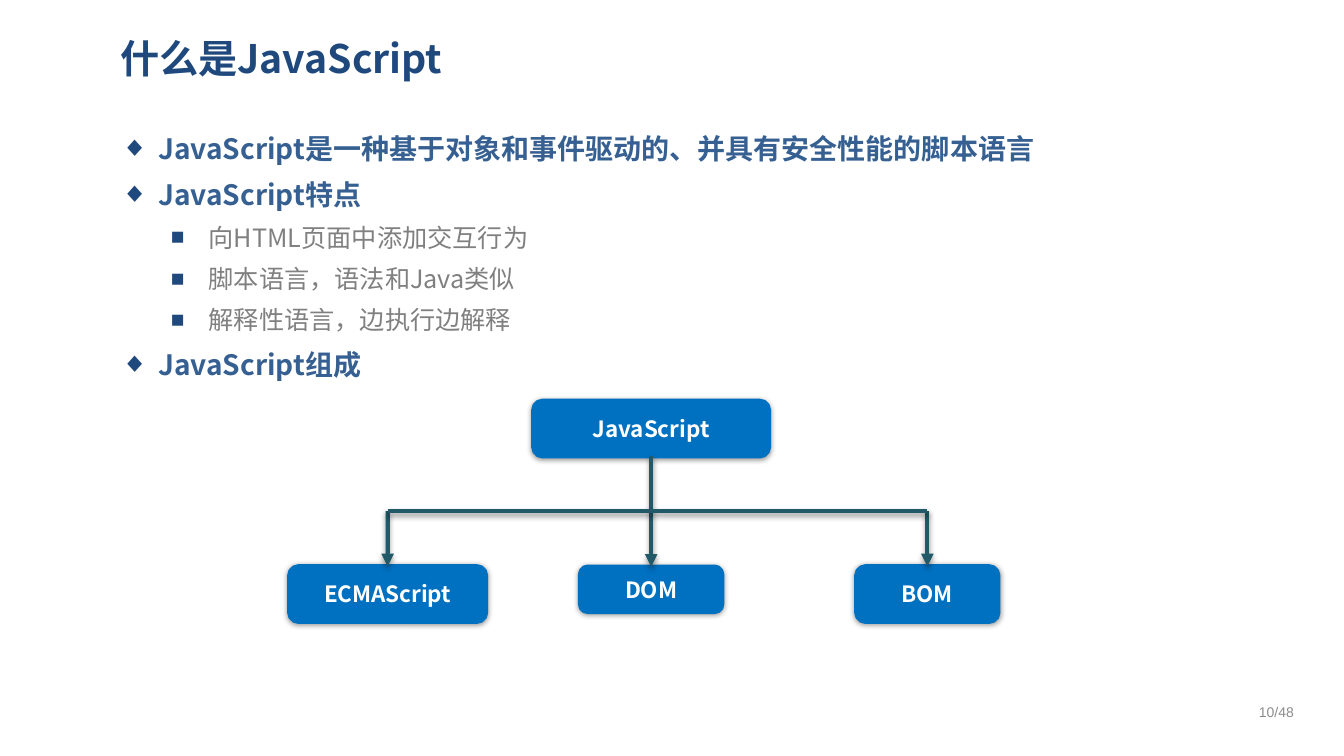
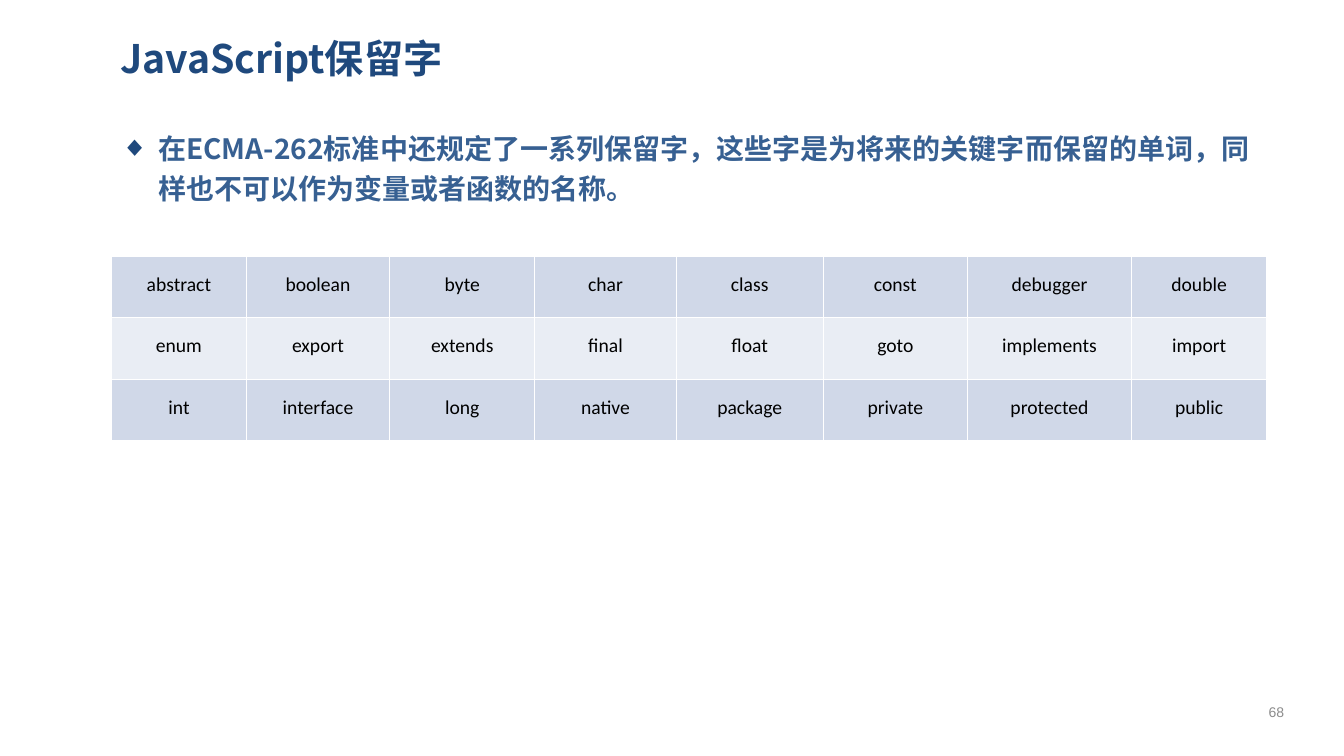
from dataclasses import dataclass

import pptx
import pptx.dml.color
import pptx.enum.shapes
import pptx.enum.text
import pptx.oxml
import pptx.oxml.ns
import pptx.util
from pptx.util import Cm

RGB = pptx.dml.color.RGBColor
NAVY = RGB(0x1F, 0x49, 0x7D)
STEEL = RGB(0x37, 0x60, 0x92)
GRAY = RGB(0x80, 0x80, 0x80)
PALE = RGB(0x8C, 0x8C, 0x8C)
BLUE = RGB(0x00, 0x70, 0xC0)
TEAL = RGB(0x21, 0x59, 0x68)
WHITE = RGB(0xFF, 0xFF, 0xFF)
BLACK = RGB(0x00, 0x00, 0x00)
BANDS = (RGB(0xD0, 0xD8, 0xE8), RGB(0xE9, 0xED, 0xF4))

ALIGN = pptx.enum.text.PP_ALIGN
ANCHOR = pptx.enum.text.MSO_ANCHOR
SHAPE = pptx.enum.shapes.MSO_SHAPE
LINK = pptx.enum.shapes.MSO_CONNECTOR


@dataclass(frozen=True)
class Style:
    size: int
    color: RGB
    bold: bool = False
    face: str = "Noto Sans CJK SC"


@dataclass(frozen=True)
class Level:
    style: Style
    mark: str
    scale: int
    left: float


@dataclass(frozen=True)
class Item:
    text: str
    level: Level


@dataclass(frozen=True)
class Node:
    """A diagram box, placed by its middle and top in centimetres."""
    text: str
    mid: float
    top: float
    wide: float
    high: float = 1.4


TITLE = Style(28, NAVY, True)
PAGE = Style(10, PALE, face="Arial")
LABEL = Style(16, WHITE, True)
WORD = Style(14, BLACK, face="Calibri")
POINT = Level(Style(20, STEEL, True), "◆", 100, 0.95)
SUB = Level(Style(18, GRAY), "■", 90, 2.22)
HANG = 0.95

ITEMS = (
    Item("JavaScript是一种基于对象和事件驱动的、并具有安全性能的脚本语言", POINT),
    Item("JavaScript特点", POINT),
    Item("向HTML页面中添加交互行为", SUB),
    Item("脚本语言，语法和Java类似", SUB),
    Item("解释性语言，边执行边解释", SUB),
    Item("JavaScript组成", POINT),
)
ROOT = Node("JavaScript", 16.41, 10.1, 5.94)
LEAVES = (
    Node("ECMAScript", 9.77, 14.27, 4.96),
    Node("DOM", 16.41, 14.28, 3.58, 1.14),
    Node("BOM", 23.37, 14.27, 3.58),
)
BAR = 12.88

RULE = (
    Item("在ECMA-262标准中还规定了一系列保留字，这些字是为将来的关键字而保留的单词，"
         "同样也不可以作为变量或者函数的名称。", POINT),
)
WORDS = (
    ("abstract", "boolean", "byte", "char", "class", "const", "debugger", "double"),
    ("enum", "export", "extends", "final", "float", "goto", "implements", "import"),
    ("int", "interface", "long", "native", "package", "private", "protected", "public"),
)
COLS = (3.4, 3.61, 3.66, 3.56, 3.71, 3.63, 4.14, 3.4)
ROW = 1.55


def add_xml(parent, text: str):
    """Append an element written with the a: prefix."""
    tag, rest = text.split(" ", 1)
    space = pptx.oxml.ns.nsdecls("a")
    parent.append(pptx.oxml.parse_xml(f"<a:{tag} {space} {rest}"))


def add_run(para, text: str, style: Style):
    run = para.add_run()
    run.text = text
    font = run.font
    font.size = pptx.util.Pt(style.size)
    font.bold = style.bold
    font.color.rgb = style.color
    font.name = style.face
    add_xml(font._element, f'ea typeface="{style.face}"/>')


def add_box(slide, left: float, top: float, wide: float, high: float,
            anchor=ANCHOR.MIDDLE):
    box = slide.shapes.add_textbox(Cm(left), Cm(top), Cm(wide), Cm(high))
    frame = box.text_frame
    frame.word_wrap = True
    frame.vertical_anchor = anchor
    frame.margin_left = frame.margin_right = Cm(0.24)
    frame.margin_top = frame.margin_bottom = Cm(0.12)
    return frame


def add_list(slide, items: tuple[Item, ...]):
    frame = add_box(slide, 2.8, 3.02, 29.59, 14.43, ANCHOR.TOP)
    for index, item in enumerate(items):
        para = frame.add_paragraph() if index else frame.paragraphs[0]
        level = item.level
        props = para._p.get_or_add_pPr()
        props.set("marL", str(Cm(level.left)))
        props.set("indent", str(-Cm(HANG)))
        para.line_spacing = 1.2
        if index:
            para.space_before = pptx.util.Pt(level.style.size * 0.2)
        add_xml(props, f'buClr ><a:srgbClr val="{NAVY}"/></a:buClr>')
        add_xml(props, f'buSzPct val="{level.scale * 1000}"/>')
        add_xml(props, 'buFont typeface="Arial"/>')
        add_xml(props, f'buChar char="{level.mark}"/>')
        add_run(para, item.text, level.style)


def add_slide(deck, title: str, page: str, items: tuple[Item, ...]):
    slide = deck.slides.add_slide(deck.slide_layouts[6])
    add_list(slide, items)
    head = add_box(slide, 2.79, 0.61, 29.59, 1.7)
    add_run(head.paragraphs[0], title, TITLE)
    foot = add_box(slide, 31.34, 17.42, 1.65, 1.02).paragraphs[0]
    foot.alignment = ALIGN.CENTER
    add_run(foot, page, PAGE)
    return slide


def add_shade(shape, drop: int):
    """Cast a soft shadow, drop points straight down."""
    blur, dist = pptx.util.Pt(4), pptx.util.Pt(drop)
    add_xml(shape._element.spPr,
            f'effectLst ><a:outerShdw blurRad="{blur}" dist="{dist}" '
            'dir="5400000" rotWithShape="0"><a:srgbClr val="000000">'
            '<a:alpha val="40000"/></a:srgbClr></a:outerShdw></a:effectLst>')


def add_node(slide, node: Node):
    box = slide.shapes.add_shape(
        SHAPE.FLOWCHART_ALTERNATE_PROCESS, Cm(node.mid - node.wide / 2),
        Cm(node.top), Cm(node.wide), Cm(node.high))
    box.fill.solid()
    box.fill.fore_color.rgb = BLUE
    box.line.color.rgb = BLUE
    box.line.width = pptx.util.Pt(3)
    add_shade(box, 1)
    box.text_frame.vertical_anchor = ANCHOR.MIDDLE
    para = box.text_frame.paragraphs[0]
    para.alignment = ALIGN.CENTER
    add_run(para, node.text, LABEL)
    return box


def add_line(slide, start: float, end: float, goal=None, source=None):
    """Draw along the bar, or down from it to goal, from source if given."""
    line = slide.shapes.add_connector(
        LINK.STRAIGHT, Cm(start), Cm(BAR), Cm(end), Cm(BAR))
    if source:
        line.begin_connect(source, 2)
    if goal:
        line.end_connect(goal, 0)
    line.line.color.rgb = TEAL
    line.line.width = pptx.util.Pt(3)
    if goal:
        add_xml(line.line._get_or_add_ln(), 'tailEnd type="triangle"/>')
    add_shade(line, 2)


def add_tree(slide):
    root = add_node(slide, ROOT)
    for leaf in LEAVES:
        box = add_node(slide, leaf)
        source = root if leaf.mid == ROOT.mid else None
        add_line(slide, leaf.mid, leaf.mid, box, source)
    add_line(slide, LEAVES[0].mid, LEAVES[-1].mid)


def fill_cell(cell, text: str, color: RGB):
    props = cell._tc.get_or_add_tcPr()
    for side in "LRTB":
        add_xml(props, f'ln{side} w="12700"><a:solidFill><a:srgbClr '
                       f'val="{WHITE}"/></a:solidFill></a:ln{side}>')
    cell.fill.solid()
    cell.fill.fore_color.rgb = color
    cell.vertical_anchor = ANCHOR.MIDDLE
    cell.margin_left = cell.margin_right = Cm(0.18)
    cell.margin_top = cell.margin_bottom = 0
    para = cell.text_frame.paragraphs[0]
    para.alignment = ALIGN.CENTER
    para.line_spacing = pptx.util.Pt(13)
    add_run(para, text, WORD)


def add_words(slide):
    table = slide.shapes.add_table(
        len(WORDS), len(COLS), Cm(2.81), Cm(6.46),
        Cm(sum(COLS)), Cm(ROW * len(WORDS))).table
    table.first_row = table.horz_banding = False
    for col, wide in zip(table.columns, COLS):
        col.width = Cm(wide)
    for index, (row, words) in enumerate(zip(table.rows, WORDS)):
        row.height = Cm(ROW)
        for cell, word in zip(row.cells, words):
            fill_cell(cell, word, BANDS[index % 2])


def main():
    deck = pptx.Presentation()
    deck.slide_width, deck.slide_height = Cm(33.87), Cm(19.05)
    add_tree(add_slide(deck, "什么是JavaScript", "10/48", ITEMS))
    add_words(add_slide(deck, "JavaScript保留字", "68", RULE))
    deck.save("out.pptx")


if __name__ == "__main__":
    main()
